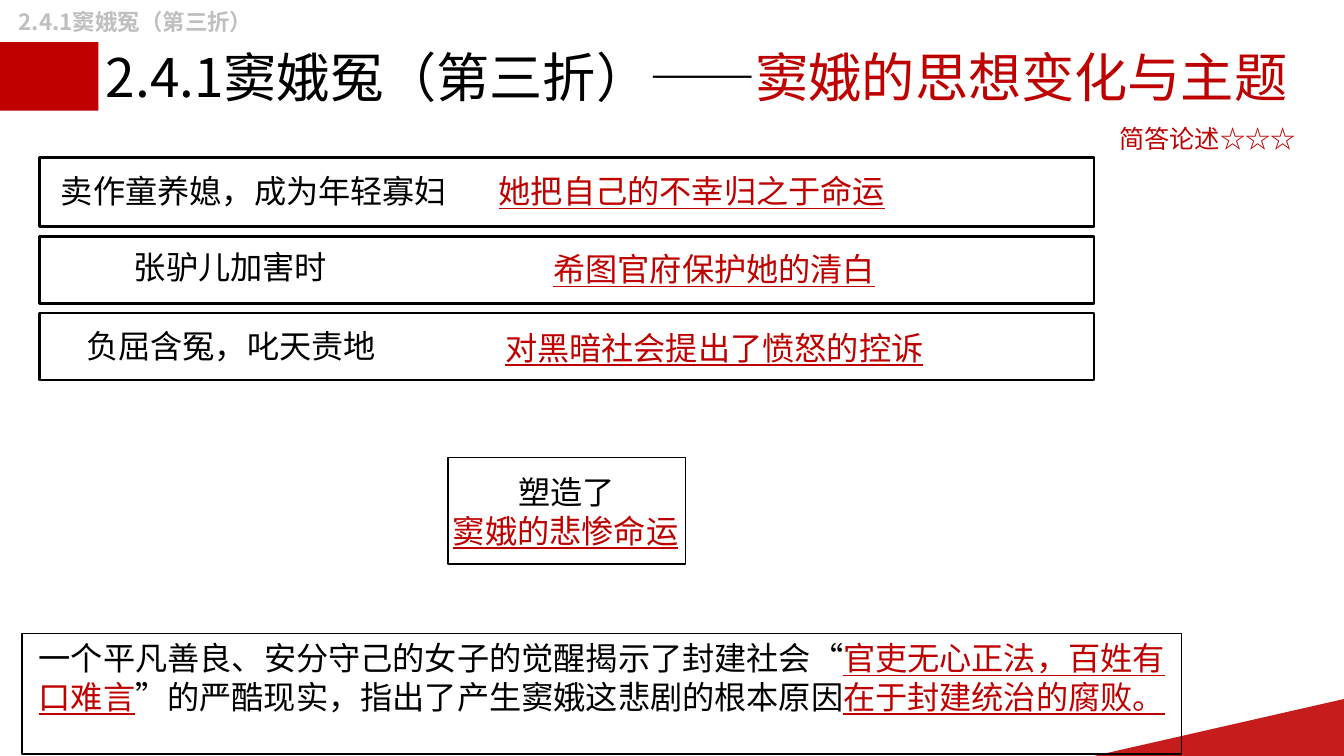
from dataclasses import dataclass

from lxml.etree import SubElement
from pptx import Presentation
from pptx.dml.color import RGBColor
from pptx.enum.shapes import MSO_SHAPE
from pptx.enum.text import MSO_ANCHOR
from pptx.oxml.ns import qn
from pptx.util import Pt


@dataclass(frozen=True)
class Theme:
    black: RGBColor = RGBColor(0x00, 0x00, 0x00)
    accent: RGBColor = RGBColor(0xC0, 0x00, 0x00)
    answer: RGBColor = RGBColor(0xBE, 0x00, 0x00)
    muted: RGBColor = RGBColor(0xBF, 0xBF, 0xBF)
    font: str = "Noto Sans CJK SC"
    dash_font: str = "Noto Sans CJK JP"
    tag_font: str = "Calibri"
    title: int = 76
    body: int = 46
    tag: int = 36
    header: int = 32
    inset: float = 7.2


THEME = Theme()


def set_typeface(font, properties, name):
    """Use one typeface for both Latin and East Asian characters."""
    font.name = name
    properties.find(qn("a:latin")).addnext(
        properties.makeelement(qn("a:ea"), {"typeface": name}))


def write(shape, paragraphs, size, font=THEME.font, wrap=True,
          anchor=MSO_ANCHOR.TOP, spacing=1.0, inset=THEME.inset, bold=False):
    """Fill a shape with paragraphs, each a list of (text, colour, underline)."""
    frame = shape.text_frame
    frame.word_wrap = wrap
    frame.vertical_anchor = anchor
    frame.margin_left = frame.margin_right = Pt(inset)
    frame.margin_top = frame.margin_bottom = Pt(inset)
    for index, pieces in enumerate(paragraphs):
        paragraph = frame.add_paragraph() if index else frame.paragraphs[0]
        paragraph.line_spacing = spacing
        paragraph.font.size = Pt(size)
        paragraph.font.bold = bold
        set_typeface(paragraph.font, paragraph._p.pPr.find(qn("a:defRPr")), font)
        for text, colour, underline in pieces:
            run = paragraph.add_run()
            run.text = text
            run.font.color.rgb = colour
            run.font.underline = underline
    return frame


def add_text(slide, box, paragraphs, size, **options):
    return write(slide.shapes.add_textbox(*map(Pt, box)), paragraphs, size, **options)


def add_frame(slide, box, weight):
    frame = slide.shapes.add_shape(MSO_SHAPE.RECTANGLE, *map(Pt, box))
    frame.shadow.inherit = False
    frame.fill.background()
    frame.line.color.rgb = THEME.black
    frame.line.width = Pt(weight)
    return frame


def add_red_block(slide, box):
    block = slide.shapes.add_shape(MSO_SHAPE.RECTANGLE, *map(Pt, box))
    block.shadow.inherit = False
    block.fill.solid()
    block.fill.fore_color.rgb = THEME.accent
    block.line.fill.background()


def add_corner(slide, box):
    """Translucent wedge rising to the right edge of its box."""
    left, top, width, height = box
    right, bottom = left + width, top + height
    builder = slide.shapes.build_freeform(Pt(right), Pt(bottom))
    builder.add_line_segments([(Pt(right), Pt(top)), (Pt(left), Pt(bottom))])
    wedge = builder.convert_to_shape()
    wedge.shadow.inherit = False
    wedge.fill.solid()
    wedge.fill.fore_color.rgb = THEME.accent
    colour = wedge._element.spPr.find(qn("a:solidFill"))[0]
    SubElement(colour, qn("a:alpha"), val="89000")
    wedge.line.fill.background()


def add_heading(slide, box):
    """Running header, title and question type."""
    left, top, width, _ = box
    lesson = "2.4.1窦娥冤（第三折）"
    add_text(slide, (left + 21, top + 6.5, 385, 50), [[(lesson, THEME.muted, False)]],
             THEME.header, anchor=MSO_ANCHOR.MIDDLE, inset=5.76, bold=True)
    title = add_text(slide, (left + 144, top + 66, 1728, 135), [[
        (lesson, THEME.black, False),
        ("——", THEME.black, False),
        ("窦娥的思想变化与主题", THEME.answer, False),
    ]], THEME.title, spacing=0.9)
    dash = title.paragraphs[0].runs[1]
    set_typeface(dash.font, dash._r.rPr, THEME.dash_font)
    add_text(slide, (left + width - 328, top + 168.5, 290, 64),
             [[("简答论述☆☆☆", THEME.accent, False)]], THEME.tag, font=THEME.tag_font)


def add_stage(slide, box, event, thought):
    """One framed stage: what happened, then what she thought of it."""
    left, top, _, _ = box
    for (text, x, y), colour, underline in ((event, THEME.black, False),
                                            (thought, THEME.answer, True)):
        width = len(text) * THEME.body + 2 * THEME.inset
        add_text(slide, (left + x, top + y, width, 76), [[(text, colour, underline)]],
                 THEME.body, wrap=False)
    add_frame(slide, box, 4)


def add_fate(slide, box):
    write(add_frame(slide, box, 2), [
        [("塑造了", THEME.black, False)],
        [("窦娥的悲惨命运", THEME.answer, True)],
    ], THEME.body, wrap=False, anchor=MSO_ANCHOR.MIDDLE)


def add_conclusion(slide, box):
    write(add_frame(slide, box, 2), [[
        ("一个平凡善良、安分守己的女子的觉醒揭示了封建社会“", THEME.black, False),
        ("官吏无心正法，百姓有口难言", THEME.answer, True),
        ("”的严酷现实，指出了产生窦娥这悲剧的根本原因", THEME.black, False),
        ("在于封建统治的腐败。", THEME.answer, True),
    ]], THEME.body)


# Frame top, frame height, then (text, x, y) of event and thought in the frame
STAGES = [
    (224.6, 99.4, ("卖作童养媳，成为年轻寡妇", 23, 13), ("她把自己的不幸归之于命运", 648.5, 13)),
    (337.7, 95.8, ("张驴儿加害时", 127.3, 8.5), ("希图官府保护她的清白", 726.4, 11.5)),
    (447.1, 95.8, ("负屈含冤，叱天责地", 59, 12), ("对黑暗社会提出了愤怒的控诉", 657.4, 14)),
]


def main():
    deck = Presentation()
    deck.slide_width, deck.slide_height = Pt(1920), Pt(1080)
    slide = deck.slides.add_slide(deck.slide_layouts[6])
    add_red_block(slide, (0, 60, 140.4, 98))
    add_corner(slide, (1554, 998.6, 366, 83.4))
    add_conclusion(slide, (31.7, 905, 1656, 172))
    add_heading(slide, (0, 0, 1920, 232))
    for top, height, event, thought in STAGES:
        add_stage(slide, (57, top, 1506, height), event, thought)
    add_fate(slide, (640, 653.8, 339, 152))
    deck.save("out.pptx")


if __name__ == "__main__":
    main()
